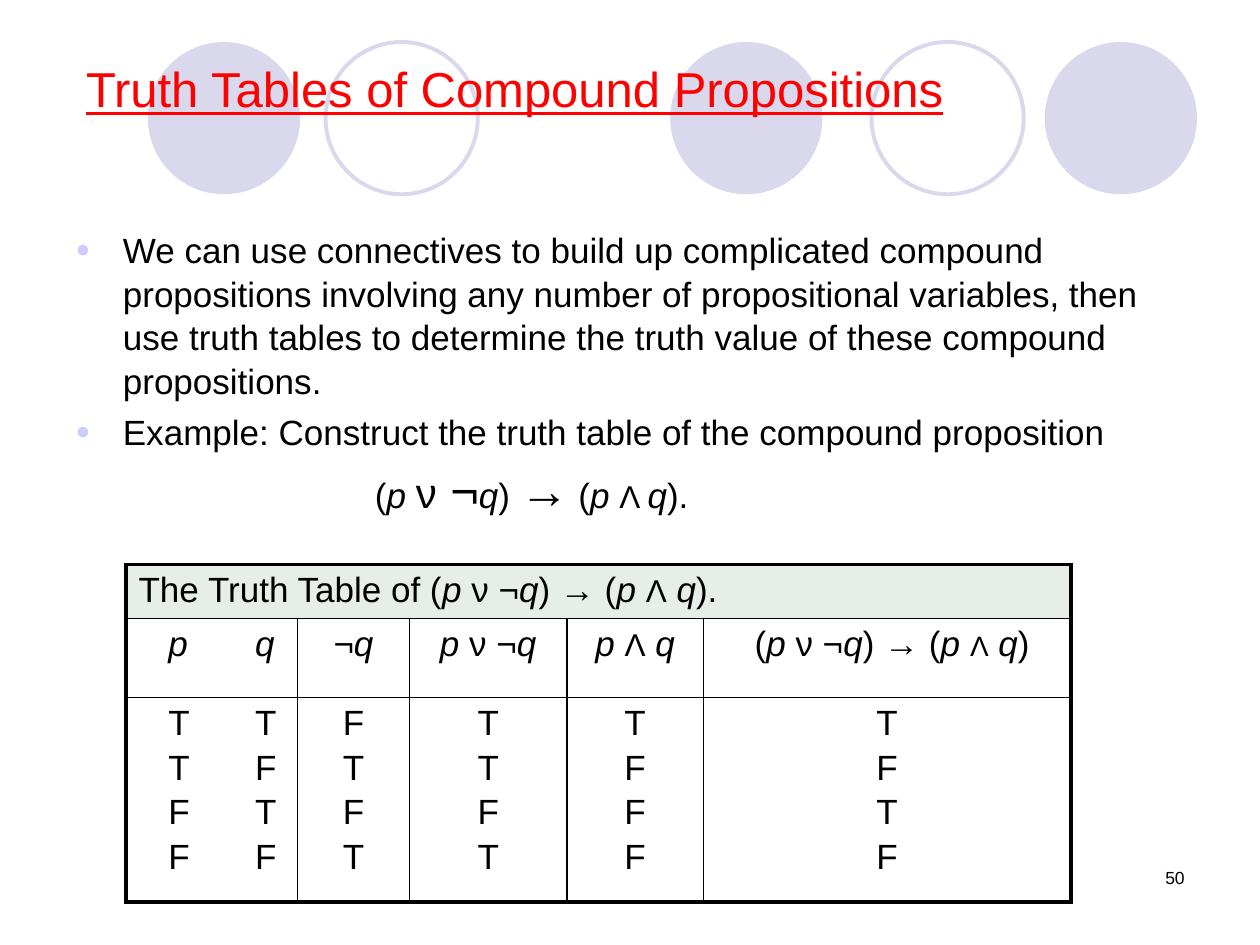
from lxml.etree import SubElement
from pptx import Presentation
from pptx.dml.color import RGBColor
from pptx.enum.shapes import MSO_SHAPE as Shape
from pptx.enum.text import MSO_ANCHOR as Anchor, MSO_AUTO_SIZE as AutoSize, PP_ALIGN as Align
from pptx.oxml.ns import qn
from pptx.util import Pt


class Theme:
    font = "Arial"
    ink = RGBColor.from_string("000000")
    red = RGBColor.from_string("FF0000")
    circle = RGBColor.from_string("D9D8EC")
    caption = RGBColor.from_string("E7EDE7")
    bullet = "CCCCFF"
    border = "000000"
    title_size, text_size, number_size = 28, 20, 10
    outer_line, inner_line = 2.25, 1


def write_spans(para, pieces, size=Theme.text_size, color=Theme.ink):
    """Add runs; a piece is a string or (string, size), and p and q are italic."""
    for piece in pieces:
        words, points = (piece, size) if isinstance(piece, str) else piece
        span = para.add_run()
        span.text = words
        span.font.name = Theme.font
        span.font.size = Pt(points)
        span.font.color.rgb = color
        span.font.italic = words.strip() in ("p", "q")


def draw_border(cell, side, width):
    line = SubElement(cell._tc.get_or_add_tcPr(), qn(f"a:ln{side}"), w=str(Pt(width)))
    fill = SubElement(line, qn("a:solidFill"))
    SubElement(fill, qn("a:srgbClr"), val=Theme.border)


deck = Presentation()
deck.slide_width, deck.slide_height = Pt(720), Pt(540)
page = deck.slides.add_slide(deck.slide_layouts[1])
title, body = page.placeholders

# Row of circles behind the title
for left, filled in ((383, True), (597, True), (84.5, True), (498, False), (186, False)):
    circle = page.shapes.add_shape(Shape.OVAL, Pt(left), Pt(24), Pt(87), Pt(87))
    circle.shadow.inherit = False
    if filled:
        circle.fill.solid()
        circle.fill.fore_color.rgb = Theme.circle
        circle.line.fill.background()
    else:
        circle.fill.background()
        circle.line.color.rgb = Theme.circle
        circle.line.width = Pt(2.25)
    title.element.addprevious(circle.element)

# Title
title.left, title.top, title.width, title.height = Pt(36), Pt(30), Pt(516), Pt(41)
title.text_frame.auto_size = AutoSize.NONE
para = title.text_frame.paragraphs[0]
para.alignment = Align.CENTER
write_spans(para, ["Truth Tables of Compound Propositions"], Theme.title_size, Theme.red)
para.runs[0].font.underline = True

# Body: two bullets and the formula
body.left, body.top, body.width, body.height = Pt(36), Pt(126), Pt(642), Pt(198)
frame = body.text_frame
frame.auto_size = AutoSize.NONE
frame.vertical_anchor = Anchor.TOP
bullets = (
    "We can use connectives to build up complicated compound propositions involving "
    "any number of propositional variables, then use truth tables to determine the "
    "truth value of these compound propositions.",
    "Example: Construct the truth table of the compound proposition",
)
for index, sentence in enumerate(bullets):
    para = frame.paragraphs[0] if index == 0 else frame.add_paragraph()
    props = para._p.get_or_add_pPr()
    props.set("marL", str(Pt(27)))
    props.set("indent", str(-Pt(27)))
    SubElement(SubElement(props, qn("a:buClr")), qn("a:srgbClr"), val=Theme.bullet)
    SubElement(props, qn("a:buSzPct"), val="70000")
    SubElement(props, qn("a:buChar"), char="●")
    para.space_before = Pt(4 * index)
    para.line_spacing = 1.04
    write_spans(para, [sentence])

para = frame.add_paragraph()
props = para._p.get_or_add_pPr()
props.set("marL", str(Pt(171)))
props.set("indent", "0")
SubElement(props, qn("a:buNone"))
para.space_before = Pt(4)
write_spans(para, ["(", "p ", ("ν", 24), (" ¬", 28), "q", ") ", ("→", 28),
                   " (", "p ", ("Λ ", 18), "q", ")."])

# Truth table: each cell is a list of paragraphs, each paragraph a list of pieces
p_or_not_q = ["p ", "ν ¬", "q"]
p_and_q = ["p ", ("Λ", 18), " ", "q"]
small_p_and_q = ["p ", ("Λ", 16), " ", "q"]
rows = [
    [[["The Truth Table of (", *p_or_not_q, ") → (", *p_and_q, ")."]]],
    [[["p", "\t", "q"]], [["¬", "q"]], [p_or_not_q], [p_and_q],
     [[" (", *p_or_not_q, ") → (", *small_p_and_q, ")"]]],
    [[[values] for values in column]
     for column in (("T\tT", "T\tF", "F\tT", "F\tF"), "FTFT", "TTFT", "TFFF", "TFTF")],
]
widths, heights = (98, 64, 90, 78, 210), (31, 45, 117)
table = page.shapes.add_table(3, 5, Pt(72), Pt(322.5), Pt(sum(widths)), Pt(sum(heights))).table
table.first_row = table.horz_banding = False
for column, width in zip(table.columns, widths):
    column.width = Pt(width)
for row, height in zip(table.rows, heights):
    row.height = Pt(height)
table.cell(0, 0).merge(table.cell(0, 4))

for r in range(3):
    for c in range(5):
        cell = table.cell(r, c)
        # The frame is heavier than the inner grid
        outer = {"L": c == 0, "R": c == 4 or r == 0, "T": r == 0, "B": r == 2}
        for side, heavy in outer.items():
            if cell.is_spanned and (side == "L" or (side == "R" and c < 4)):
                continue
            draw_border(cell, side, Theme.outer_line if heavy else Theme.inner_line)
        if r == 0:
            cell.fill.solid()
            cell.fill.fore_color.rgb = Theme.caption
        else:
            cell.fill.background()
        if cell.is_spanned:
            continue
        for index, pieces in enumerate(rows[r][c]):
            frame = cell.text_frame
            para = frame.paragraphs[0] if index == 0 else frame.add_paragraph()
            if r > 0 and c == 0:
                # Two values side by side, aligned by a tab stop
                props = para._p.get_or_add_pPr()
                props.set("marL", str(Pt(17)))
                stops = SubElement(props, qn("a:tabLst"))
                SubElement(stops, qn("a:tab"), pos=str(Pt(55.5)), algn="l")
            para.alignment = Align.LEFT if c == 0 else Align.CENTER
            if index:
                para.space_before = Pt(3.3)
            write_spans(para, pieces)

# Page number
number = page.shapes.add_textbox(Pt(516), Pt(492), Pt(168), Pt(36))
number.text_frame.word_wrap = True
para = number.text_frame.paragraphs[0]
para.alignment = Align.RIGHT
write_spans(para, ["50"], Theme.number_size)

deck.save("out.pptx")
